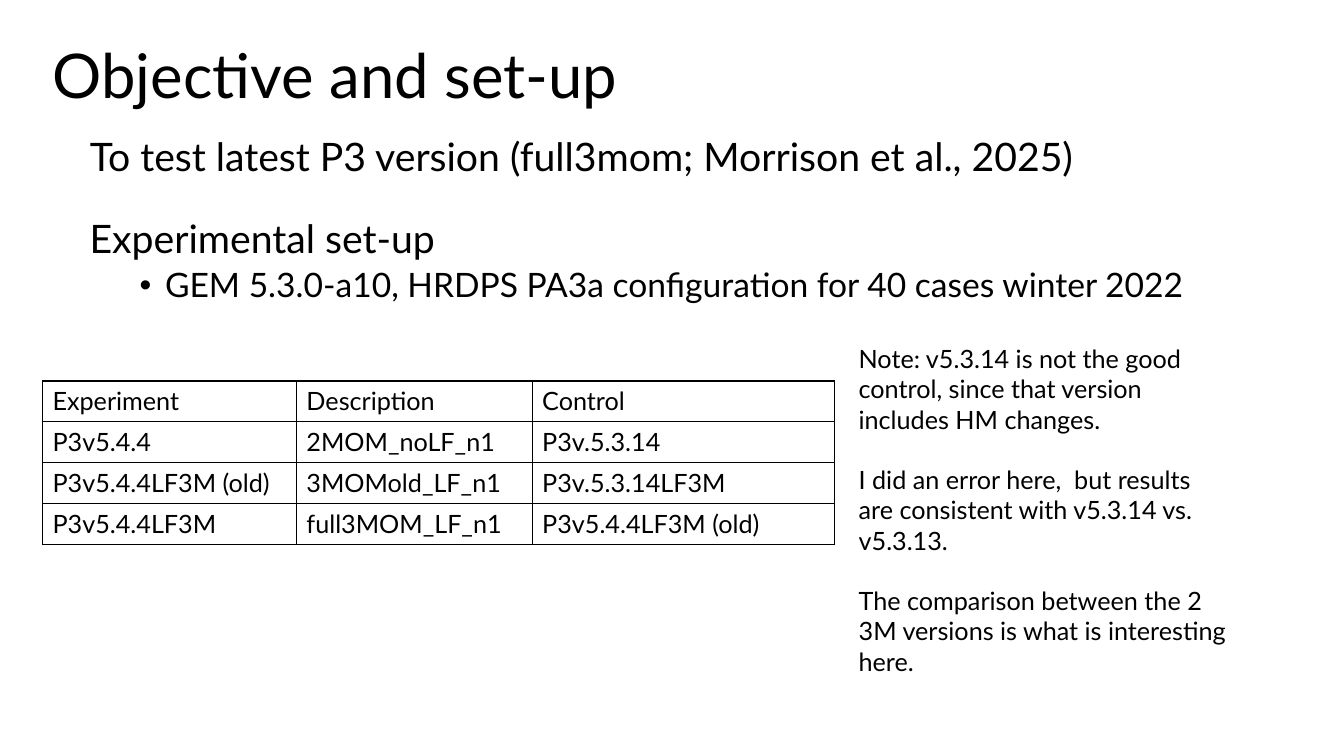
from lxml.etree import SubElement
from pptx import Presentation
from pptx.dml.color import RGBColor
from pptx.enum.text import MSO_ANCHOR, MSO_AUTO_SIZE, PP_ALIGN
from pptx.oxml import parse_xml
from pptx.oxml.ns import nsdecls, qn
from pptx.util import Cm, Pt

BLACK = RGBColor(0, 0, 0)
FONT = "Lato"


def add_text(paragraph, text, size):
    run = paragraph.add_run()
    run.text = text
    run.font.name = FONT
    run.font.size = Pt(size)
    run.font.color.rgb = BLACK


def place(shape, left, top, width, height):
    shape.left, shape.top = Cm(left), Cm(top)
    shape.width, shape.height = Cm(width), Cm(height)
    shape.text_frame.word_wrap = True
    shape.text_frame.auto_size = MSO_AUTO_SIZE.NONE


presentation = Presentation()
presentation.slide_width = Cm(33.87)
presentation.slide_height = Cm(19.05)
slide = presentation.slides.add_slide(presentation.slide_layouts[1])

# Title
title = slide.shapes.title
place(title, 1.07, 0.13, 29.21, 3.68)
title.text_frame.vertical_anchor = MSO_ANCHOR.MIDDLE
paragraph = title.text_frame.paragraphs[0]
paragraph.alignment = PP_ALIGN.LEFT
paragraph.line_spacing = 0.9
add_text(paragraph, "Objective and set-up", 44)

# Objective
objective = slide.placeholders[1]
place(objective, 2.01, 3.33, 29.21, 4.24)
paragraph = objective.text_frame.paragraphs[0]
paragraph.line_spacing = 0.9
paragraph.space_before = Pt(0)
properties = paragraph._p.get_or_add_pPr()
properties.set("marL", "0")
properties.set("indent", "0")
SubElement(properties, qn("a:buNone"))
add_text(paragraph, "To test latest P3 version (full3mom; Morrison et al., 2025)", 28)

# Experimental set-up
setup = slide.shapes.add_textbox(0, 0, 0, 0)
place(setup, 2.01, 5.41, 29.21, 4.24)
paragraph = setup.text_frame.paragraphs[0]
paragraph.line_spacing = 0.9
add_text(paragraph, "Experimental set-up", 28)

paragraph = setup.text_frame.add_paragraph()
paragraph.level = 1
paragraph.line_spacing = 0.9
paragraph.space_before = Pt(5)
properties = paragraph._p.get_or_add_pPr()
properties.set("marL", str(Cm(1.9)))
properties.set("indent", str(-Cm(0.64)))
SubElement(properties, qn("a:buFont")).set("typeface", "Arial")
SubElement(properties, qn("a:buChar")).set("char", "•")
add_text(paragraph, "GEM 5.3.0-a10, HRDPS PA3a configuration for 40 cases winter 2022", 24)

# Experiments
experiments = [
    ("Experiment", "Description", "Control"),
    ("P3v5.4.4", "2MOM_noLF_n1", "P3v.5.3.14"),
    ("P3v5.4.4LF3M (old)", "3MOMold_LF_n1", "P3v.5.3.14LF3M"),
    ("P3v5.4.4LF3M", "full3MOM_LF_n1", "P3v5.4.4LF3M (old)"),
]
column_widths = [6.4, 5.94, 7.62]
row_height = 1.03
table = slide.shapes.add_table(
    len(experiments), len(column_widths), Cm(1.07), Cm(9.6),
    Cm(sum(column_widths)), Cm(row_height * len(experiments)),
).table
table.first_row = False
table.horz_banding = False
for column, width in zip(table.columns, column_widths):
    column.width = Cm(width)
for row, texts in zip(table.rows, experiments):
    row.height = Cm(row_height)
    for cell, text in zip(row.cells, texts):
        add_text(cell.text_frame.paragraphs[0], text, 18)
        cell_properties = cell._tc.get_or_add_tcPr()
        for side in "LRTB":
            cell_properties.append(parse_xml(
                f'<a:ln{side} {nsdecls("a")} w="{Pt(1)}"><a:solidFill>'
                f'<a:srgbClr val="{BLACK}"/></a:solidFill></a:ln{side}>'
            ))
        cell.fill.background()

# Notes on the control runs
remarks = [
    "Note: v5.3.14 is not the good control, since that version includes HM changes.",
    "I did an error here,  but results are consistent with v5.3.14 vs. v5.3.13.",
    "The comparison between the 2 3M versions is what is interesting here.",
]
remarks_box = slide.shapes.add_textbox(0, 0, 0, 0)
place(remarks_box, 21.39, 8.53, 9.83, 8.71)
for index, remark in enumerate(remarks):
    if index == 0:
        paragraph = remarks_box.text_frame.paragraphs[0]
    else:
        paragraph = remarks_box.text_frame.add_paragraph()
        paragraph.space_before = Pt(21.6)
    add_text(paragraph, remark, 18)

presentation.save("out.pptx")
